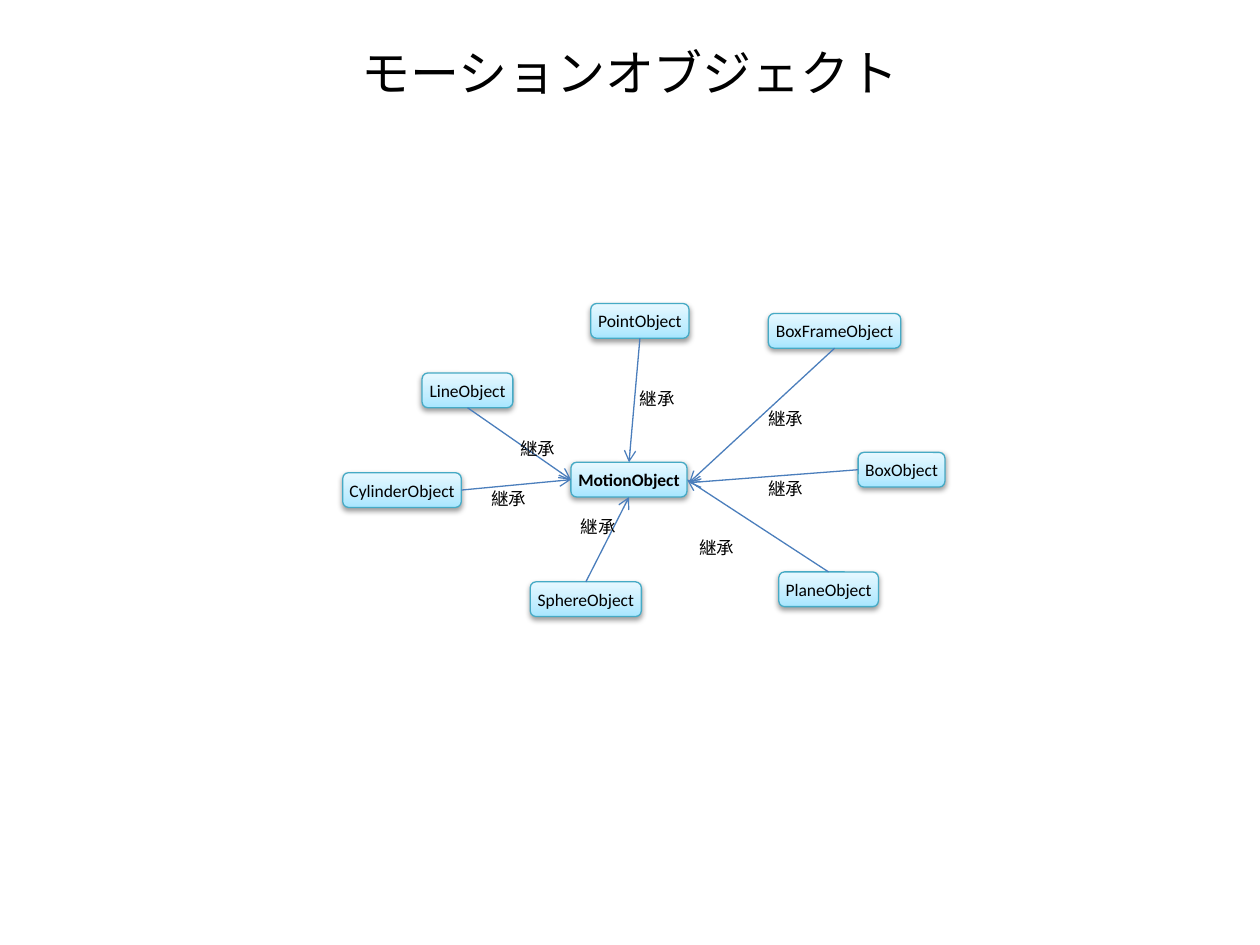
from pptx import Presentation
from pptx.dml.color import RGBColor
from pptx.enum.shapes import MSO_CONNECTOR, MSO_SHAPE
from pptx.enum.text import MSO_ANCHOR, MSO_AUTO_SIZE, PP_ALIGN
from pptx.oxml import parse_xml
from pptx.oxml.ns import nsdecls, qn
from pptx.util import Cm, Pt
from lxml import etree

ROUNDED = MSO_SHAPE.ROUNDED_RECTANGLE
STRAIGHT = MSO_CONNECTOR.STRAIGHT
MIDDLE, TOP_ANCHOR = MSO_ANCHOR.MIDDLE, MSO_ANCHOR.TOP
CENTER, LEFT_ALIGN = PP_ALIGN.CENTER, PP_ALIGN.LEFT
FIT_SHAPE = MSO_AUTO_SIZE.SHAPE_TO_FIT_TEXT
TOP, LEFT, BOTTOM, RIGHT = range(4)

COLORS = {
    "text": "000000",
    "bottom": "A7E6FF",
    "middle": "C1EDFF",
    "top": "E7F8FF",
    "border": "46AAC5",
    "arrow": "4B7EBC",
    "shadow": "000000",
}
FONT = "Calibri"
BOX_HEIGHT = 0.7
INSET = 0.1
HUB = ("MotionObject", 11.51, 9.32, 2.34)
RIGHT_TIP = (13.89, 9.73)

# name, left, top, width, start side, hub side or free tip, label position
CHILDREN = [
    ("PointObject", 11.91, 6.12, 1.98, BOTTOM, TOP, (12.9, 7.72)),
    ("LineObject", 8.51, 7.52, 1.83, BOTTOM, LEFT, (10.49, 8.74)),
    ("CylinderObject", 6.91, 9.53, 2.39, RIGHT, LEFT, (9.91, 9.73)),
    ("SphereObject", 10.69, 11.73, 2.24, TOP, BOTTOM, (11.71, 10.31)),
    ("PlaneObject", 15.7, 11.53, 2.01, TOP, RIGHT, (14.1, 10.72)),
    ("BoxObject", 17.3, 9.12, 1.75, LEFT, RIGHT_TIP, (15.49, 9.53)),
    ("BoxFrameObject", 15.49, 6.32, 2.67, BOTTOM, RIGHT_TIP, (15.49, 8.13)),
]


def color(name):
    return RGBColor.from_string(COLORS[name])


def write_text(shape, text, size=10, bold=False, align=CENTER, anchor=MIDDLE):
    frame = shape.text_frame
    frame.vertical_anchor = anchor
    para = frame.paragraphs[0]
    para.alignment = align
    span = para.add_run()
    span.text = text
    span.font.name = FONT
    span.font.size = Pt(size)
    span.font.bold = bold
    span.font.color.rgb = color("text")


def fit_to_text(shape, left_inset=INSET):
    frame = shape.text_frame
    frame.word_wrap = False
    frame.auto_size = FIT_SHAPE
    frame.margin_left = Cm(left_inset)
    frame.margin_top = frame.margin_right = frame.margin_bottom = Cm(INSET)


def add_gradient(shape):
    stops = "".join(
        f'<a:gs pos="{position * 1000}"><a:srgbClr val="{COLORS[name]}"/></a:gs>'
        for position, name in ((0, "bottom"), (35, "middle"), (100, "top"))
    )
    gradient = parse_xml(
        f'<a:gradFill {nsdecls("a")} rotWithShape="1"><a:gsLst>{stops}</a:gsLst>'
        '<a:lin ang="16200000" scaled="0"/></a:gradFill>'
    )
    shape.element.spPr.find(qn("a:prstGeom")).addnext(gradient)


def add_shadow(shape):
    shape.shadow.inherit = False
    shape.element.spPr.find(qn("a:effectLst")).append(parse_xml(
        f'<a:outerShdw {nsdecls("a")} blurRad="{Pt(3.1)}" dist="{Pt(1.6)}" '
        f'dir="5400000" rotWithShape="0"><a:srgbClr val="{COLORS["shadow"]}">'
        '<a:alpha val="38000"/></a:srgbClr></a:outerShdw>'
    ))


def add_class_box(page, name, left, top, width, bold=False):
    box = page.shapes.add_shape(ROUNDED, Cm(left), Cm(top), Cm(width), Cm(BOX_HEIGHT))
    add_gradient(box)
    box.line.color.rgb = color("border")
    box.line.width = Pt(0.75)
    add_shadow(box)
    fit_to_text(box)
    write_text(box, name, bold=bold)
    return box


def add_arrow(page, child, start_side, hub, target):
    tip_x, tip_y = RIGHT_TIP
    arrow = page.shapes.add_connector(STRAIGHT, child.left, child.top, Cm(tip_x), Cm(tip_y))
    arrow.begin_connect(child, start_side)
    if target != RIGHT_TIP:
        arrow.end_connect(hub, target)
    arrow.line.color.rgb = color("arrow")
    arrow.line.width = Pt(0.75)
    line = arrow.line._get_or_add_ln()
    etree.SubElement(line, qn("a:tailEnd"), type="arrow")
    etree.SubElement(arrow.element.spPr, qn("a:effectLst"))


def add_label(page, left, top):
    label = page.shapes.add_textbox(Cm(left), Cm(top), Cm(0.81), Cm(0.64))
    fit_to_text(label, left_inset=0)
    write_text(label, "継承", align=LEFT_ALIGN, anchor=TOP_ANCHOR)


def add_title(page, text):
    title = page.shapes.add_textbox(Cm(1.27), Cm(0.76), Cm(22.86), Cm(1.37))
    title.text_frame.word_wrap = True
    write_text(title, text, size=28)


def main():
    deck = Presentation()
    deck.slide_width, deck.slide_height = Cm(25.4), Cm(19.05)
    page = deck.slides.add_slide(deck.slide_layouts[6])
    add_title(page, "モーションオブジェクト")
    hub = add_class_box(page, *HUB, bold=True)
    boxes = [add_class_box(page, *child[:4]) for child in CHILDREN]
    for box, child in zip(boxes, CHILDREN):
        add_arrow(page, box, child[4], hub, child[5])
    for child in CHILDREN:
        add_label(page, *child[6])
    deck.save("out.pptx")


if __name__ == "__main__":
    main()
